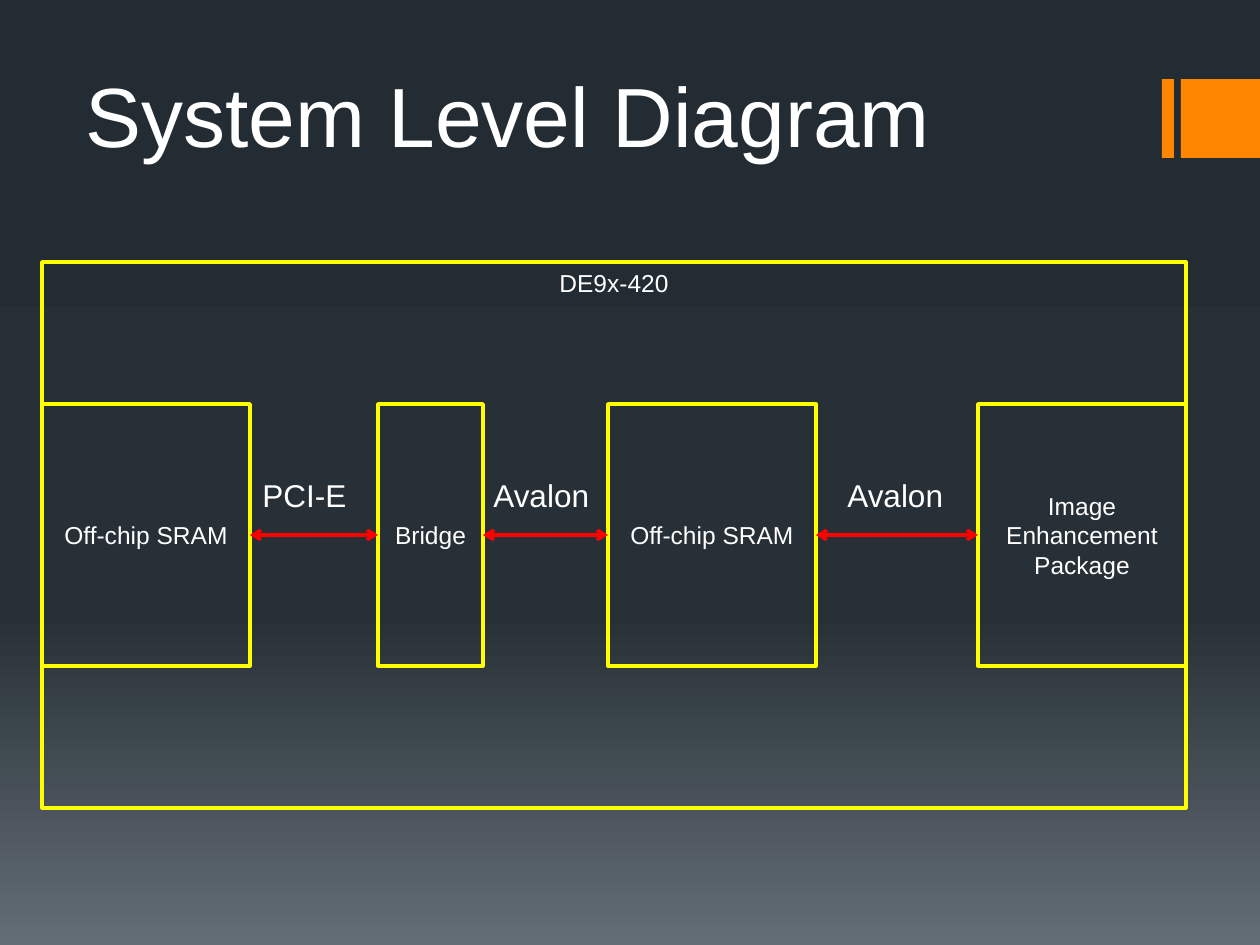
"""Build a slide with a block diagram of a system and the buses between its parts."""
from copy import deepcopy

from pptx import Presentation
from pptx import util as u
from pptx.dml.color import RGBColor
from pptx.enum import shapes, text
from pptx.oxml.ns import qn
from pptx.oxml.xmlchemy import OxmlElement

PX = u.Inches(1) // 126
COLORS = {"top": "242C33", "middle": "273037", "bottom": "636D76", "accent": "FF8600",
          "box": "FFFF00", "arrow": "FF0000", "text": "FFFFFF"}


def write(shape, words, size, anchor, align):
    frame = shape.text_frame
    frame.word_wrap = True
    frame.vertical_anchor = anchor
    paragraph = frame.paragraphs[0]
    paragraph.alignment = align
    run = paragraph.add_run()
    run.text = words
    run.font.size = u.Pt(size)
    run.font.name = "Arial"
    run.font.color.rgb = RGBColor.from_string(COLORS["text"])


def add_box(left, top, width, height, fill=None):
    shape = slide.shapes.add_shape(
        shapes.MSO_SHAPE.RECTANGLE, left * PX, top * PX, width * PX, height * PX)
    shape.shadow.inherit = False
    if fill:
        shape.fill.solid()
        shape.fill.fore_color.rgb = RGBColor.from_string(fill)
        shape.line.fill.background()
    else:
        shape.fill.background()
        shape.line.color.rgb = RGBColor.from_string(COLORS["box"])
        shape.line.width = u.Pt(2)
    return shape


presentation = Presentation()
presentation.slide_width = 1260 * PX
presentation.slide_height = 945 * PX
slide = presentation.slides.add_slide(presentation.slide_layouts[6])

background = slide.background.fill
background.gradient()
background.gradient_angle = 270
stop_list = slide.element.find(".//" + qn("a:gsLst"))
stop_list.insert(1, deepcopy(stop_list[0]))
stops = [("top", 0), ("middle", 0.65), ("bottom", 1)]
for stop, (name, position) in zip(background.gradient_stops, stops):
    stop.color.rgb = RGBColor.from_string(COLORS[name])
    stop.position = position

for left, width in [(1162, 12), (1181, 79)]:
    add_box(left, 79, width, 79, COLORS["accent"])

title = slide.shapes.add_textbox(73 * PX, 53 * PX, 998 * PX, 118 * PX)
write(title, "System Level Diagram", 48, text.MSO_ANCHOR.BOTTOM, text.PP_ALIGN.LEFT)

board = add_box(42, 262, 1144, 546)
write(board, "DE9x-420", 14, text.MSO_ANCHOR.TOP, text.PP_ALIGN.CENTER)

blocks = [("Off-chip SRAM", 42, 208), ("Bridge", 378, 105),
          ("Off-chip SRAM", 608, 208), ("Image Enhancement Package", 978, 208)]
for words, left, width in blocks:
    block = add_box(left, 404, width, 262)
    write(block, words, 14, text.MSO_ANCHOR.MIDDLE, text.PP_ALIGN.CENTER)

buses = [("PCI-E", 250), ("Avalon", 481), ("Avalon", 835)]
for (words, label_left), (_, left, width), (_, end, _) in zip(buses, blocks, blocks[1:]):
    arrow = slide.shapes.add_connector(
        shapes.MSO_CONNECTOR.STRAIGHT, (left + width) * PX, 535 * PX, end * PX, 535 * PX)
    arrow.line.color.rgb = RGBColor.from_string(COLORS["arrow"])
    arrow.line.width = u.Pt(2)
    properties = arrow.element.spPr
    for tag in ("a:headEnd", "a:tailEnd"):
        tip = OxmlElement(tag)
        tip.set("type", "arrow")
        properties.find(qn("a:ln")).append(tip)
    properties.append(OxmlElement("a:effectLst"))

    label = slide.shapes.add_textbox(label_left * PX, 470 * PX, 129 * PX, 53 * PX)
    write(label, words, 18, text.MSO_ANCHOR.TOP, text.PP_ALIGN.LEFT)

presentation.save("out.pptx")
